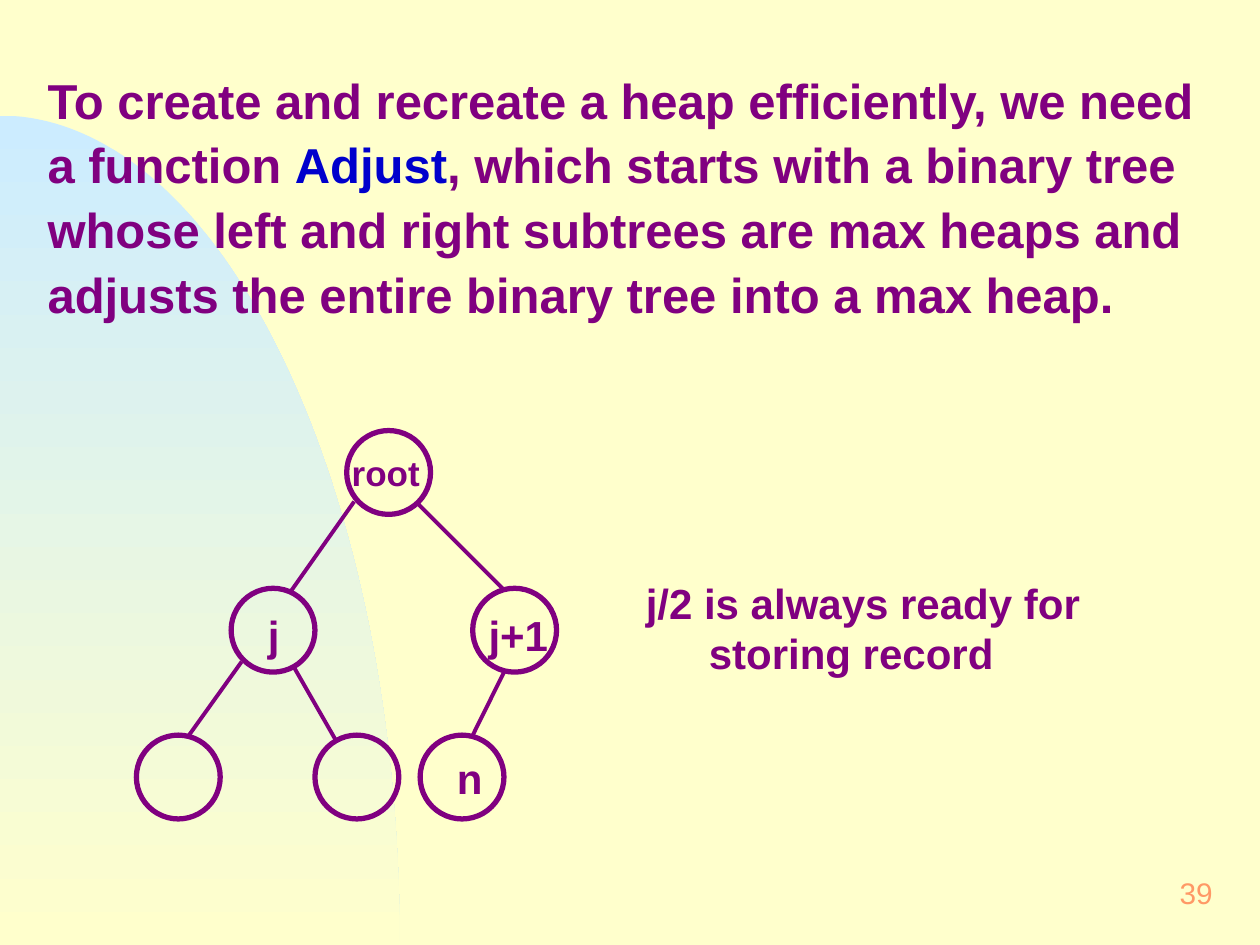
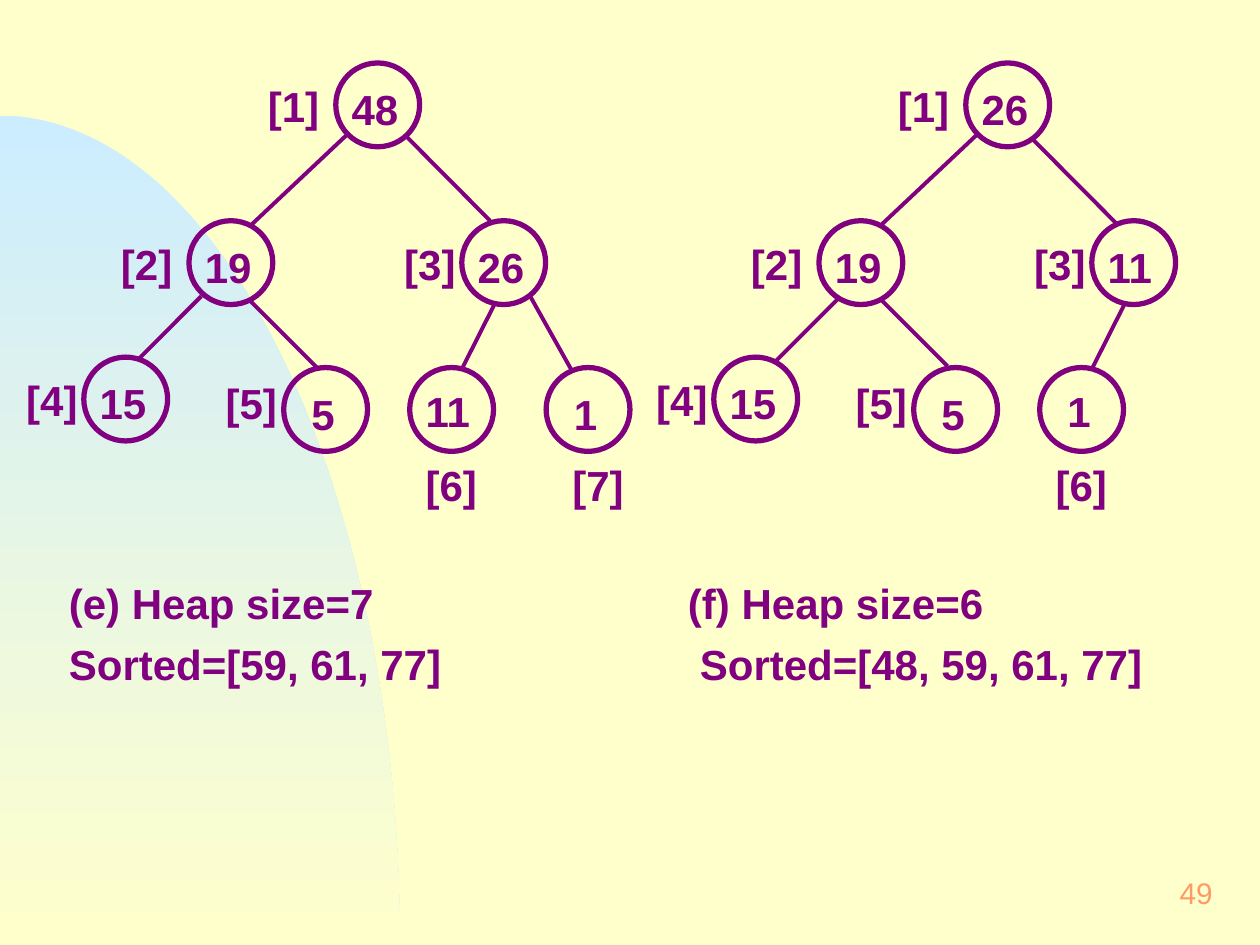
"""Build two slides on adjusting and sorting a heap."""
from math import cos, pi, sin

from lxml.etree import SubElement
from pptx import Presentation
from pptx.dml.color import RGBColor
from pptx.enum.shapes import MSO_CONNECTOR, MSO_SHAPE
from pptx.enum.text import MSO_ANCHOR, PP_ALIGN
from pptx.oxml.ns import qn
from pptx.util import Cm, Pt

FONT = "Arial"
PURPLE, BLUE, ORANGE = "800080", "0000CC", "FF9966"
CREAM, SKY = "FFFFCC", "CCECFF"
SLIDE_WIDTH, SLIDE_HEIGHT = 25.4, 19.05
ARC_WIDTH, ARC_HEIGHT, ARC_STEPS = 8.06, 16.72, 90
NODE_SIZE = 1.69
LABEL_WIDTH, LABEL_HEIGHT = 2.2, 1.31
HANGING = 1.27
DIGIT_SHIFT = 0.24

ADJUST_TEXT = [
    ("To create and recreate a heap efficiently, we need a function ", PURPLE),
    ("Adjust", BLUE),
    (", which starts with a binary tree whose left and right subtrees are "
     "max heaps and adjusts the entire binary tree into a max heap.", PURPLE),
]
ADJUST_NODES = [(6.99, 8.68), (4.66, 11.86), (9.53, 11.86),
                (2.75, 14.82), (6.35, 14.82), (8.47, 14.82)]
ADJUST_LABELS = [("root", 6.77, 8.94, 20), ("j", 5.08, 12.12, 24),
                 ("j+1", 9.53, 12.12, 24), ("n", 8.89, 15.02, 24)]
ADJUST_EDGES = [(7.14, 10.11, 5.87, 11.91), (8.43, 10.16, 10.13, 11.86),
                (4.87, 13.34, 3.81, 14.82), (5.92, 13.44, 6.78, 14.94),
                (10.16, 13.55, 9.53, 14.82)]
ADJUST_NOTE = "j/2 is always ready for storing record"

HEAP_NODES = [(6.77, 1.27), (3.81, 4.45), (9.31, 4.45), (1.69, 7.2),
              (5.72, 7.41), (8.26, 7.41), (11.01, 7.41)]
HEAP_INDEXES = [(5.08, 1.46), (2.12, 4.65), (7.83, 4.65), (0.21, 7.39),
                (4.23, 7.46), (8.26, 9.1), (11.22, 9.1)]
HEAP_EDGES = {2: (6.99, 2.72, 5.08, 4.52), 3: (8.18, 2.74, 9.88, 4.45),
              4: (4.06, 5.97, 2.79, 7.24), 5: (5.03, 6.05, 6.4, 7.42),
              6: (9.96, 6.15, 9.32, 7.42), 7: (10.67, 5.94, 11.51, 7.44)}
HEAPS = [
    {"left": 0, "values": [48, 19, 26, 15, 5, 11, 1], "nudges": {},
     "caption": ["(e) Heap size=7", "Sorted=[59, 61, 77]"],
     "caption_left": 1.07, "second_line_shift": 0},
    {"left": 12.7, "values": [26, 19, 11, 15, 5, 1],
     "nudges": {3: (-0.08, 0.05), 4: (0.12, 0.07), 5: (0, -0.04)},
     "caption": ["(f) Heap size=6", "Sorted=[48, 59, 61, 77]"],
     "caption_left": 13.55, "second_line_shift": DIGIT_SHIFT},
]


def color(value):
    """Turn a hex string into a colour."""
    return RGBColor.from_string(value)


def add_run(paragraph, text, size=24, ink=PURPLE, bold=True):
    """Add one formatted run."""
    run = paragraph.add_run()
    run.text = text
    run.font.name, run.font.size, run.font.bold = FONT, Pt(size), bold
    run.font.color.rgb = color(ink)


def add_box(slide, left, top, width=LABEL_WIDTH, height=LABEL_HEIGHT):
    """Add an empty wrapping text box and return its frame."""
    frame = slide.shapes.add_textbox(
        Cm(left), Cm(top), Cm(width), Cm(height)).text_frame
    frame.word_wrap = True
    frame.margin_left = frame.margin_right = Cm(0.32)
    frame.margin_top = frame.margin_bottom = Cm(0.16)
    return frame


def set_indent(paragraph, left, first):
    """Set the left margin and first-line indent of a paragraph."""
    properties = paragraph._p.get_or_add_pPr()
    properties.set("marL", str(Cm(left)))
    properties.set("indent", str(Cm(first)))


def add_label(slide, text, left, top, size=24):
    """Add a short bold label."""
    add_run(add_box(slide, left, top).paragraphs[0], text, size)


def add_node(slide, left, top):
    """Add an outlined tree node."""
    node = slide.shapes.add_shape(
        MSO_SHAPE.OVAL, Cm(left), Cm(top), Cm(NODE_SIZE), Cm(NODE_SIZE))
    node.shadow.inherit = False
    node.fill.background()
    node.line.color.rgb = color(PURPLE)
    node.line.width = Pt(3)


def add_edge(slide, *ends):
    """Add a line between two tree nodes."""
    edge = slide.shapes.add_connector(
        MSO_CONNECTOR.STRAIGHT, *[Cm(end) for end in ends])
    edge.line.color.rgb = color(PURPLE)
    edge.line.width = Pt(2.25)
    SubElement(edge.element.spPr, qn("a:effectLst"))


def move_arc_to_master(slide, master):
    """Draw the shaded quarter ellipse and move it to the master."""
    angles = [pi / 2 * step / ARC_STEPS for step in range(ARC_STEPS + 1)]
    points = [(Cm(ARC_WIDTH * sin(angle)),
               Cm(SLIDE_HEIGHT - ARC_HEIGHT * cos(angle))) for angle in angles]
    builder = slide.shapes.build_freeform(*points[0])
    builder.add_line_segments(points[1:] + [(0, Cm(SLIDE_HEIGHT))])
    arc = builder.convert_to_shape()
    arc.shadow.inherit = False
    arc.line.fill.background()
    arc.fill.gradient()
    arc.fill.gradient_angle = 270
    for stop, shade, position in zip(arc.fill.gradient_stops, (SKY, CREAM), (0, 1)):
        stop.color.rgb = color(shade)
        stop.position = position
    master.shapes.element.append(arc.element)


def add_slide(presentation, number):
    """Add a blank slide with its page number."""
    slide = presentation.slides.add_slide(presentation.slide_layouts[6])
    frame = add_box(slide, 19.48, 17.36, 5.29, 1.27)
    frame.vertical_anchor = MSO_ANCHOR.MIDDLE
    frame.paragraphs[0].alignment = PP_ALIGN.RIGHT
    add_run(frame.paragraphs[0], number, 17, ORANGE, False)
    return slide


def fill_adjust_slide(slide):
    """Add the explanation and the tree with its note."""
    paragraph = add_box(slide, 0.64, 1.14, 24.34, 5.54).paragraphs[0]
    paragraph.line_spacing = 1.1
    for text, ink in ADJUST_TEXT:
        add_run(paragraph, text, 28, ink)
    for ends in ADJUST_EDGES:
        add_edge(slide, *ends)
    for place in ADJUST_NODES:
        add_node(slide, *place)
    for label in ADJUST_LABELS:
        add_label(slide, *label)
    note = add_box(slide, 12.7, 11.48, 11.85, 2.33).paragraphs[0]
    set_indent(note, HANGING, -HANGING)
    add_run(note, ADJUST_NOTE)


def add_heap(slide, heap):
    """Add one heap tree with its indexes and caption."""
    shift = heap["left"]
    for index, value in enumerate(heap["values"], 1):
        left, top = HEAP_NODES[index - 1]
        index_left, index_top = HEAP_INDEXES[index - 1]
        indent = DIGIT_SHIFT if value < 10 else 0
        add_node(slide, left + shift, top)
        add_label(slide, str(value), left + shift + indent,
                  top + (0.2 if index == 6 else 0.26))
        add_label(slide, f"[{index}]", index_left + shift, index_top)
        if index in HEAP_EDGES:
            start_x, start_y, end_x, end_y = HEAP_EDGES[index]
            across, down = heap["nudges"].get(index, (0, 0))
            add_edge(slide, start_x + shift + across, start_y + down,
                     end_x + shift + across, end_y + down)
    frame = add_box(slide, heap["caption_left"], 11.48, 9.95, 2.57)
    size_line, sorted_line = heap["caption"]
    add_run(frame.paragraphs[0], size_line)
    paragraph = frame.add_paragraph()
    paragraph.space_before = Pt(6)
    set_indent(paragraph, heap["second_line_shift"], 0)
    add_run(paragraph, sorted_line)


def main():
    """Build and save the presentation."""
    presentation = Presentation()
    presentation.slide_width = Cm(SLIDE_WIDTH)
    presentation.slide_height = Cm(SLIDE_HEIGHT)
    master = presentation.slide_master
    master.background.fill.solid()
    master.background.fill.fore_color.rgb = color(CREAM)
    adjust_slide = add_slide(presentation, "39")
    move_arc_to_master(adjust_slide, master)
    fill_adjust_slide(adjust_slide)
    heap_slide = add_slide(presentation, "49")
    for heap in HEAPS:
        add_heap(heap_slide, heap)
    presentation.save("out.pptx")


if __name__ == "__main__":
    main()
